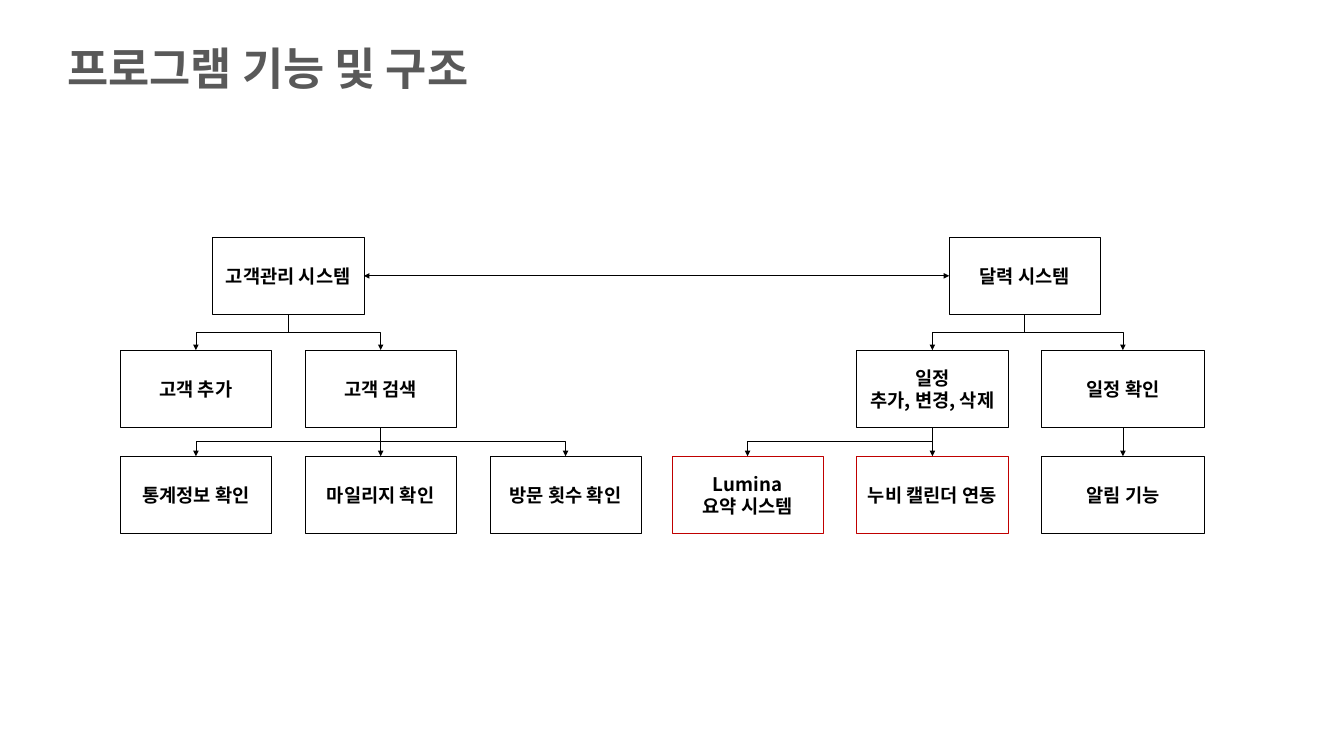
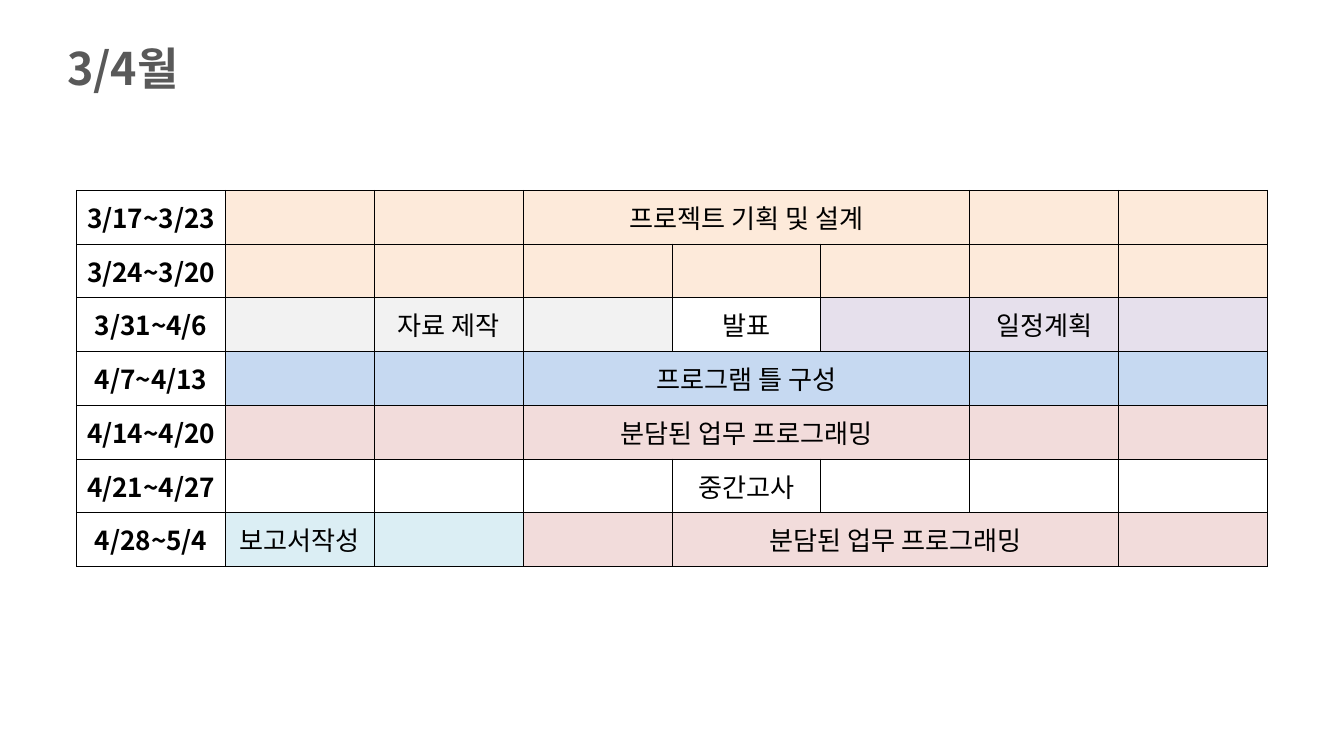
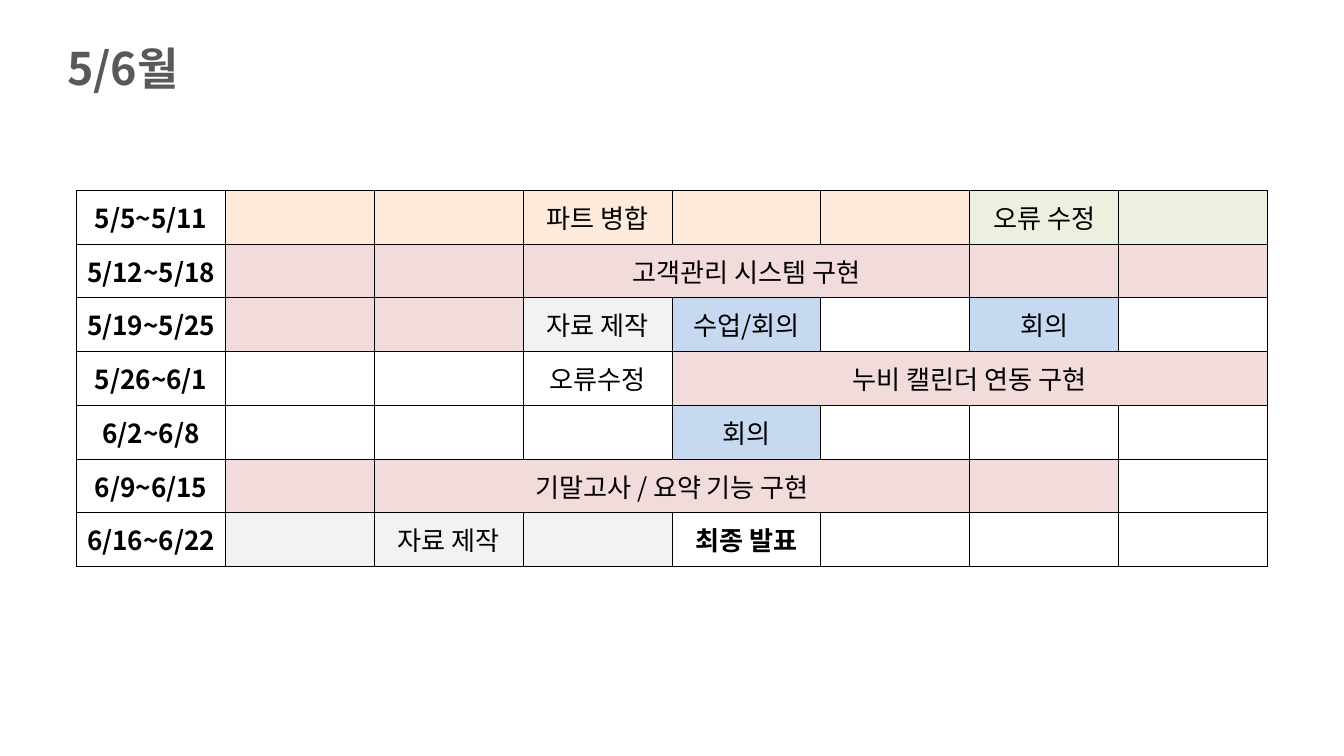
from dataclasses import dataclass
from typing import Optional

from lxml.etree import SubElement
from pptx import Presentation
from pptx.dml.color import RGBColor
from pptx.enum.shapes import MSO_CONNECTOR as Link, MSO_SHAPE as Preset
from pptx.enum.text import MSO_ANCHOR as Anchor, MSO_AUTO_SIZE as AutoSize, PP_ALIGN as Align
from pptx.oxml.ns import qn
from pptx.util import Inches, Pt

SLIDE_W, SLIDE_H = 20, 11.25
FONT = "Noto Sans CJK KR"
BLACK, WHITE, GREY, RED = "000000", "FFFFFF", "595959", "C00000"
PEACH, SILVER, LILAC, BLUE = "FDEADA", "F2F2F2", "E6E0EC", "C6D9F1"
ROSE, AQUA, GREEN = "F2DCDB", "DBEEF4", "EBF1DE"

# Structure chart grid
PITCH, BOX_W, WIDE_W, BOX_H = 2.75, 2.25, 2.42, 1.15
LEFT_TREE, RIGHT_TREE = 1.79, 10
LEVELS = (3.53, 5.21, 6.79)
TOP, LEFT, BOTTOM, RIGHT = range(4)  # connection sites of a rectangle

# Schedule grid
DAYS = 7
TABLE_X, TABLE_Y, TABLE_W, ROW_H = 1.14, 2.83, 17.72, 0.8


@dataclass
class Box:
    """A node, placed by tree, column and level of the structure chart."""
    text: str
    tree: float
    col: float
    level: int
    line: str = BLACK
    width: float = BOX_W


@dataclass
class Task:
    """Consecutive days of one colour; the label starts at day `at` and covers `span` days."""
    days: int
    fill: Optional[str] = None
    text: str = ""
    at: int = 0
    span: int = 1


@dataclass
class Week:
    dates: str
    tasks: list[Task]


BOXES = {
    "customers": Box("고객관리 시스템", LEFT_TREE, 0.5, 0),
    "add": Box("고객 추가", LEFT_TREE, 0, 1),
    "search": Box("고객 검색", LEFT_TREE, 1, 1),
    "stats": Box("통계정보 확인", LEFT_TREE, 0, 2),
    "mileage": Box("마일리지 확인", LEFT_TREE, 1, 2),
    "visits": Box("방문 횟수 확인", LEFT_TREE, 2, 2),
    "calendar": Box("달력 시스템", RIGHT_TREE, 1.5, 0),
    "edit": Box("일정\n추가, 변경, 삭제", RIGHT_TREE, 1, 1),
    "view": Box("일정 확인", RIGHT_TREE, 2, 1, width=WIDE_W),
    "summary": Box("Lumina\n요약 시스템", RIGHT_TREE, 0, 2, RED),
    "sync": Box("누비 캘린더 연동", RIGHT_TREE, 1, 2, RED),
    "alarm": Box("알림 기능", RIGHT_TREE, 2, 2, width=WIDE_W),
}
CHILDREN = {
    "customers": ["add", "search"],
    "search": ["stats", "mileage", "visits"],
    "calendar": ["edit", "view"],
    "edit": ["summary", "sync"],
    "view": ["alarm"],
}

SPRING = [
    Week("3/17~3/23", [Task(7, PEACH, "프로젝트 기획 및 설계", 2, 3)]),
    Week("3/24~3/20", [Task(7, PEACH)]),
    Week("3/31~4/6", [Task(3, SILVER, "자료 제작", 1), Task(1, None, "발표"),
                      Task(3, LILAC, "일정계획", 1)]),
    Week("4/7~4/13", [Task(7, BLUE, "프로그램 틀 구성", 2, 3)]),
    Week("4/14~4/20", [Task(7, ROSE, "분담된 업무 프로그래밍", 2, 3)]),
    Week("4/21~4/27", [Task(7, None, "중간고사", 3)]),
    Week("4/28~5/4", [Task(2, AQUA, "보고서작성"),
                      Task(5, ROSE, "분담된 업무 프로그래밍", 1, 3)]),
]
SUMMER = [
    Week("5/5~5/11", [Task(5, PEACH, "파트 병합", 2), Task(2, GREEN, "오류 수정")]),
    Week("5/12~5/18", [Task(7, ROSE, "고객관리 시스템 구현", 2, 3)]),
    Week("5/19~5/25", [Task(2, ROSE), Task(1, SILVER, "자료 제작"), Task(1, BLUE, "수업/회의"),
                       Task(1), Task(1, BLUE, "회의"), Task(1)]),
    Week("5/26~6/1", [Task(3, None, "오류수정", 2),
                      Task(4, ROSE, "누비 캘린더 연동 구현", 0, 4)]),
    Week("6/2~6/8", [Task(3), Task(1, BLUE, "회의"), Task(3)]),
    Week("6/9~6/15", [Task(6, ROSE, "기말고사 / 요약 기능 구현", 1, 4), Task(1)]),
    Week("6/16~6/22", [Task(3, SILVER, "자료 제작", 1), Task(4, None, "최종 발표")]),
]
BOLD_TASKS = {"최종 발표"}


def rgb(color: str) -> RGBColor:
    return RGBColor.from_string(color)


def write(tf, text: str, size: float, color: str = BLACK, bold: bool = True,
          align: Align = Align.CENTER) -> None:
    for i, line in enumerate(text.split("\n")):
        p = tf.add_paragraph() if i else tf.paragraphs[0]
        p.alignment = align
        r = p.add_run()
        r.text = line
        r.font.size, r.font.bold, r.font.name = Pt(size), bold, FONT
        r.font.color.rgb = rgb(color)
        SubElement(r.font._element, qn("a:ea"), typeface=FONT)


def add_slide(prs, title: str, title_w: float):
    slide = prs.slides.add_slide(prs.slide_layouts[6])
    sp = slide.shapes.add_textbox(Inches(0.9), Inches(0.56), Inches(title_w), Inches(0.91))
    tf = sp.text_frame
    tf.word_wrap, tf.auto_size = False, AutoSize.SHAPE_TO_FIT_TEXT
    write(tf, title, 48, GREY, align=Align.LEFT)
    return slide


def add_box(slide, box: Box):
    sp = slide.shapes.add_shape(
        Preset.RECTANGLE, Inches(box.tree + box.col * PITCH), Inches(LEVELS[box.level]),
        Inches(box.width), Inches(BOX_H))
    sp.shadow.inherit = False
    sp.fill.solid()
    sp.fill.fore_color.rgb = rgb(WHITE)
    sp.line.color.rgb, sp.line.width = rgb(box.line), Pt(0.75)
    tf = sp.text_frame
    tf.word_wrap, tf.vertical_anchor = True, Anchor.MIDDLE
    write(tf, box.text, 20)
    return sp


def add_arrow(slide, kind: Link, start, start_site: int, end, end_site: int,
              both_ends: bool = False):
    line = slide.shapes.add_connector(kind, 0, 0, 0, 0)
    line.begin_connect(start, start_site)
    line.end_connect(end, end_site)
    line.line.color.rgb, line.line.width = rgb(BLACK), Pt(0.75)
    ln = line.line._get_or_add_ln()
    if both_ends:
        SubElement(ln, qn("a:headEnd"), type="triangle")
    SubElement(ln, qn("a:tailEnd"), type="triangle")
    SubElement(line._element.spPr, qn("a:effectLst"))
    return line


def add_branch(slide, parent, child) -> None:
    """Link the parent's bottom to the child's top, bending halfway down when they are offset."""
    x1, x2 = (sp.left + sp.width // 2 for sp in (parent, child))
    y1, y2 = parent.top + parent.height, child.top
    if x1 == x2:
        add_arrow(slide, Link.STRAIGHT, parent, BOTTOM, child, TOP)
        return
    line = add_arrow(slide, Link.ELBOW, parent, BOTTOM, child, TOP)
    # An elbow runs sideways first, so its frame is turned a quarter about the centre.
    run, drop = abs(x2 - x1), y2 - y1
    line.left, line.top = (x1 + x2 - drop) // 2, (y1 + y2 - run) // 2
    line.width, line.height = drop, run
    xfrm = line._element.spPr.xfrm
    xfrm.flipH, xfrm.flipV = x2 > x1, False
    xfrm.rot = 270 if x2 > x1 else 90


def add_structure(slide) -> None:
    nodes = {name: add_box(slide, box) for name, box in BOXES.items()}
    for parent, children in CHILDREN.items():
        for child in children:
            add_branch(slide, nodes[parent], nodes[child])
    add_arrow(slide, Link.STRAIGHT, nodes["customers"], RIGHT, nodes["calendar"], LEFT,
              both_ends=True)


def style_cell(cell, fill: Optional[str]) -> None:
    cell.vertical_anchor = Anchor.MIDDLE
    tc_pr = cell._tc.get_or_add_tcPr()
    for side in ("lnL", "lnR", "lnT", "lnB"):
        ln = SubElement(tc_pr, qn(f"a:{side}"), w=str(Pt(1)))
        SubElement(SubElement(ln, qn("a:solidFill")), qn("a:srgbClr"), val=BLACK)
    if fill:
        cell.fill.solid()
        cell.fill.fore_color.rgb = rgb(fill)
    else:
        cell.fill.background()


def add_schedule(slide, weeks: list[Week]) -> None:
    table = slide.shapes.add_table(
        len(weeks), DAYS + 1, Inches(TABLE_X), Inches(TABLE_Y),
        Inches(TABLE_W), Inches(ROW_H * len(weeks))).table
    table.first_row = table.horz_banding = False
    for row, week in enumerate(weeks):
        style_cell(table.cell(row, 0), None)
        write(table.cell(row, 0).text_frame, week.dates, 28)
        col = 1
        for task in week.tasks:
            for day in range(task.days):
                style_cell(table.cell(row, col + day), task.fill)
            if task.text:
                first = col + task.at
                cell = table.cell(row, first)
                if task.span > 1:
                    cell.merge(table.cell(row, first + task.span - 1))
                write(cell.text_frame, task.text, 28, bold=task.text in BOLD_TASKS)
            col += task.days


def main() -> None:
    prs = Presentation()
    prs.slide_width, prs.slide_height = Inches(SLIDE_W), Inches(SLIDE_H)
    add_structure(add_slide(prs, "프로그램 기능 및 구조", 6.97))
    for title, weeks in (("3/4월", SPRING), ("5/6월", SUMMER)):
        add_schedule(add_slide(prs, title, 1.95), weeks)
    prs.save("out.pptx")


if __name__ == "__main__":
    main()
